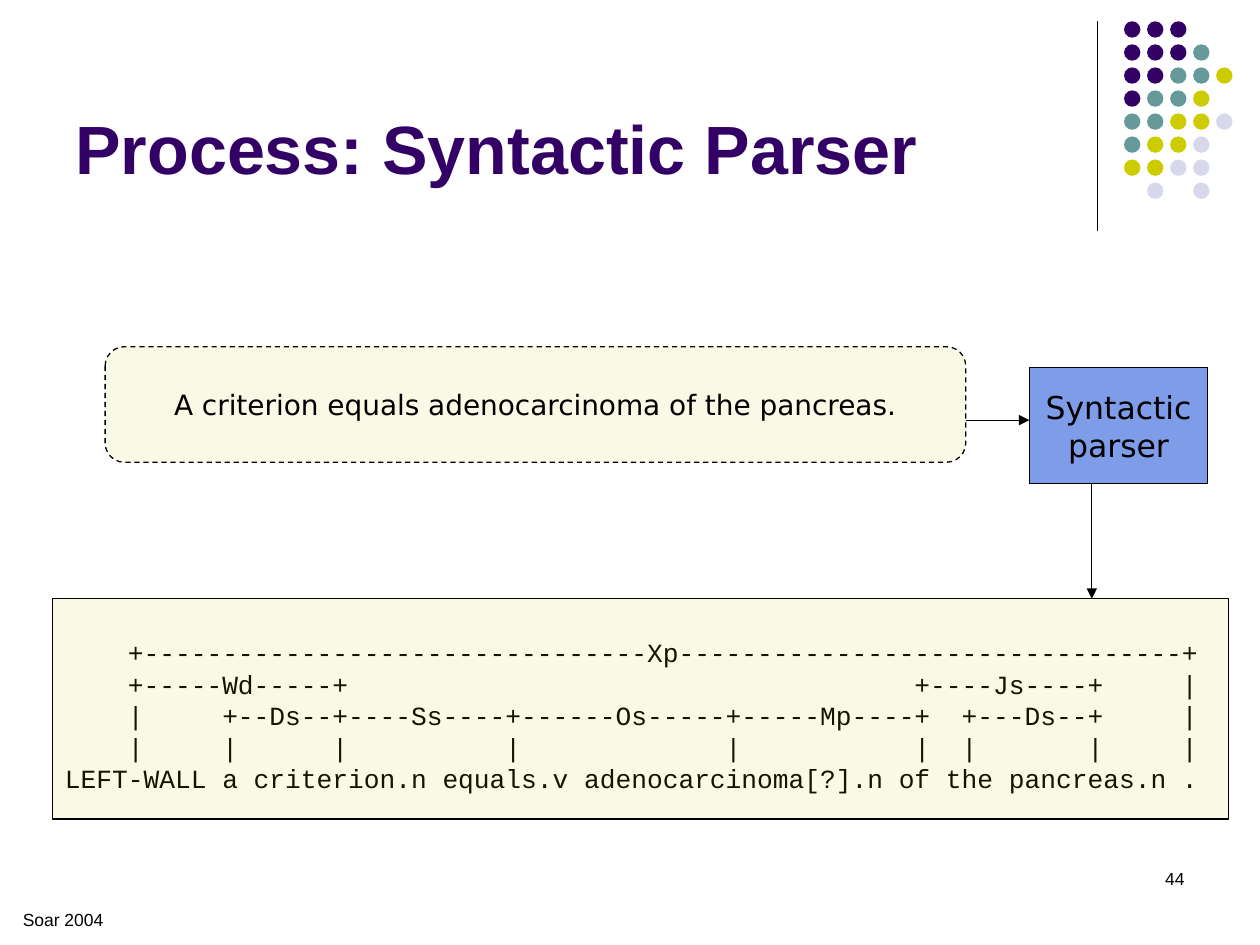
from dataclasses import dataclass

from lxml import etree
from pptx import Presentation
from pptx.dml.color import RGBColor
from pptx.enum.dml import MSO_LINE
from pptx.enum.shapes import MSO_CONNECTOR, MSO_SHAPE
from pptx.enum.text import MSO_ANCHOR, MSO_AUTO_SIZE, PP_ALIGN
from pptx.oxml.ns import qn
from pptx.util import Cm, Pt

LEFT, CENTER, RIGHT = PP_ALIGN.LEFT, PP_ALIGN.CENTER, PP_ALIGN.RIGHT
TOP, MIDDLE, BOTTOM = MSO_ANCHOR.TOP, MSO_ANCHOR.MIDDLE, MSO_ANCHOR.BOTTOM
RECTANGLE, ROUNDED, OVAL = MSO_SHAPE.RECTANGLE, MSO_SHAPE.ROUNDED_RECTANGLE, MSO_SHAPE.OVAL
DASH = MSO_LINE.DASH
TITLE_ONLY = 5

BLACK, PURPLE, TEAL, OLIVE, LILAC, BLUE = (
    "000000", "330066", "669999", "CCCC00", "D8D8EC", "7E9CE8")
DOT_COLORS = {"P": PURPLE, "T": TEAL, "O": OLIVE, "L": LILAC}
DOT_ROWS = ("PPP", "PPPT", "PPTTO", "PTTO", "TTOOL", "TOOL", "OOLL", " L L")
DOT_LEFT, DOT_TOP, DOT_SIZE = 22.66, 0.43, 0.33
DOT_PITCH = 3.25 / (len(DOT_ROWS) - 1)

PARSE_LINES = (
    "    +--------------------------------Xp--------------------------------+",
    "    +-----Wd-----+                                    +----Js----+     |",
    "    |     +--Ds--+----Ss----+------Os-----+-----Mp----+  +---Ds--+     |",
    "    |     |      |          |             |           |  |       |     |",
    "LEFT-WALL a criterion.n equals.v adenocarcinoma[?].n of the pancreas.n .",
)


@dataclass(frozen=True)
class Box:
    """Position and size in centimetres."""
    left: float
    top: float
    width: float
    height: float

    def emu(self) -> tuple:
        return Cm(self.left), Cm(self.top), Cm(self.width), Cm(self.height)


@dataclass(frozen=True)
class TextStyle:
    size: float
    name: str = "Arial"
    color: str = BLACK
    bold: bool = False
    align: PP_ALIGN = LEFT
    anchor: MSO_ANCHOR = TOP
    wrap: bool = True
    line_spacing: float | None = None


@dataclass(frozen=True)
class Panel:
    box: Box
    kind: MSO_SHAPE
    fill: str
    opacity: int = 100
    outlined: bool = True
    dash: MSO_LINE | None = None


@dataclass(frozen=True)
class Label:
    box: Box
    lines: tuple
    style: TextStyle


@dataclass(frozen=True)
class Segment:
    """Straight line between two points in centimetres."""
    start: tuple
    end: tuple
    arrow: bool = True


DIVIDER = Segment((22.12, 0.43), (22.12, 4.65), arrow=False)
ARROWS = (Segment((19.47, 8.47), (20.75, 8.47)),
          Segment((22.01, 9.74), (22.01, 12.07)))

PARSER = Panel(Box(20.75, 7.41, 3.6, 2.34), RECTANGLE, BLUE)
SENTENCE = Panel(Box(2.12, 6.99, 17.35, 2.33), ROUNDED, OLIVE, 10, dash=DASH)
PARSE_PANEL = Panel(Box(1.06, 12.07, 23.7, 4.44), RECTANGLE, OLIVE, 10)

TITLE_STYLE = TextStyle(39, color=PURPLE, bold=True, anchor=BOTTOM)
PARSER_STYLE = TextStyle(18, "DejaVu Sans", align=CENTER, anchor=MIDDLE, wrap=False)
SENTENCE_STYLE = TextStyle(16, "DejaVu Sans", align=CENTER, anchor=MIDDLE, wrap=False)

PARSE_LABEL = Label(Box(1.06, 12.7, 24.33, 3.43), PARSE_LINES,
                    TextStyle(15, "Courier New", line_spacing=18))
FOOTERS = (
    Label(Box(18.2, 17.36, 5.93, 1.27), ("44",), TextStyle(10, align=RIGHT)),
    Label(Box(0.21, 18.2, 4.02, 0.64), ("Soar 2004",), TextStyle(10)),
)


def rgb(hex_color: str) -> RGBColor:
    return RGBColor.from_string(hex_color)


def write(shape, lines: tuple, style: TextStyle) -> None:
    frame = shape.text_frame
    frame_format = {
        "auto_size": MSO_AUTO_SIZE.NONE, "word_wrap": style.wrap,
        "vertical_anchor": style.anchor,
        "margin_left": Cm(0.25), "margin_right": Cm(0.25),
        "margin_top": Cm(0.13), "margin_bottom": Cm(0.13),
    }
    for attribute, value in frame_format.items():
        setattr(frame, attribute, value)
    frame.text = "\n".join(lines)
    font_format = {"name": style.name, "size": Pt(style.size), "bold": style.bold}
    for paragraph in frame.paragraphs:
        paragraph.alignment = style.align
        if style.line_spacing:
            paragraph.line_spacing = Pt(style.line_spacing)
        for attribute, value in font_format.items():
            setattr(paragraph.font, attribute, value)
        paragraph.font.color.rgb = rgb(style.color)


def add_panel(slide, panel: Panel):
    shape = slide.shapes.add_shape(panel.kind, *panel.box.emu())
    shape.shadow.inherit = False
    shape.fill.solid()
    shape.fill.fore_color.rgb = rgb(panel.fill)
    if panel.opacity < 100:
        color = shape.fill._xPr.find(qn("a:solidFill"))[0]
        etree.SubElement(color, qn("a:alpha"), val=str(panel.opacity * 1000))
    if panel.outlined:
        shape.line.color.rgb = rgb(BLACK)
        shape.line.width = Pt(0.75)
        if panel.dash:
            shape.line.dash_style = panel.dash
    else:
        shape.line.fill.background()
    return shape


def add_label(slide, label: Label) -> None:
    write(slide.shapes.add_textbox(*label.box.emu()), label.lines, label.style)


def add_segment(slide, segment: Segment) -> None:
    connector = slide.shapes.add_connector(
        MSO_CONNECTOR.STRAIGHT, *map(Cm, segment.start + segment.end))
    connector.line.color.rgb = rgb(BLACK)
    connector.line.width = Pt(0.75)
    if segment.arrow:
        etree.SubElement(connector.line._get_or_add_ln(), qn("a:tailEnd"), type="triangle")
    etree.SubElement(connector._element.spPr, qn("a:effectLst"))


def add_dots(slide) -> None:
    for row, codes in enumerate(DOT_ROWS):
        for column, code in enumerate(codes):
            if code in DOT_COLORS:
                box = Box(DOT_LEFT + column * DOT_PITCH, DOT_TOP + row * DOT_PITCH,
                          DOT_SIZE, DOT_SIZE)
                add_panel(slide, Panel(box, OVAL, DOT_COLORS[code], outlined=False))


def main() -> None:
    deck = Presentation()
    deck.slide_width, deck.slide_height = Cm(25.4), Cm(19.05)
    slide = deck.slides.add_slide(deck.slide_layouts[TITLE_ONLY])

    title = slide.shapes.title
    title.left, title.top, title.width, title.height = Box(1.27, 0.33, 20.95, 3.6).emu()
    write(title, ("Process: Syntactic Parser",), TITLE_STYLE)

    add_segment(slide, DIVIDER)
    add_dots(slide)
    write(add_panel(slide, PARSER), ("Syntactic", "parser"), PARSER_STYLE)
    write(add_panel(slide, SENTENCE),
          ("A criterion equals adenocarcinoma of the pancreas.",), SENTENCE_STYLE)
    add_label(slide, PARSE_LABEL)
    add_panel(slide, PARSE_PANEL)
    for arrow in ARROWS:
        add_segment(slide, arrow)
    for footer in FOOTERS:
        add_label(slide, footer)
    deck.save("out.pptx")


if __name__ == "__main__":
    main()
